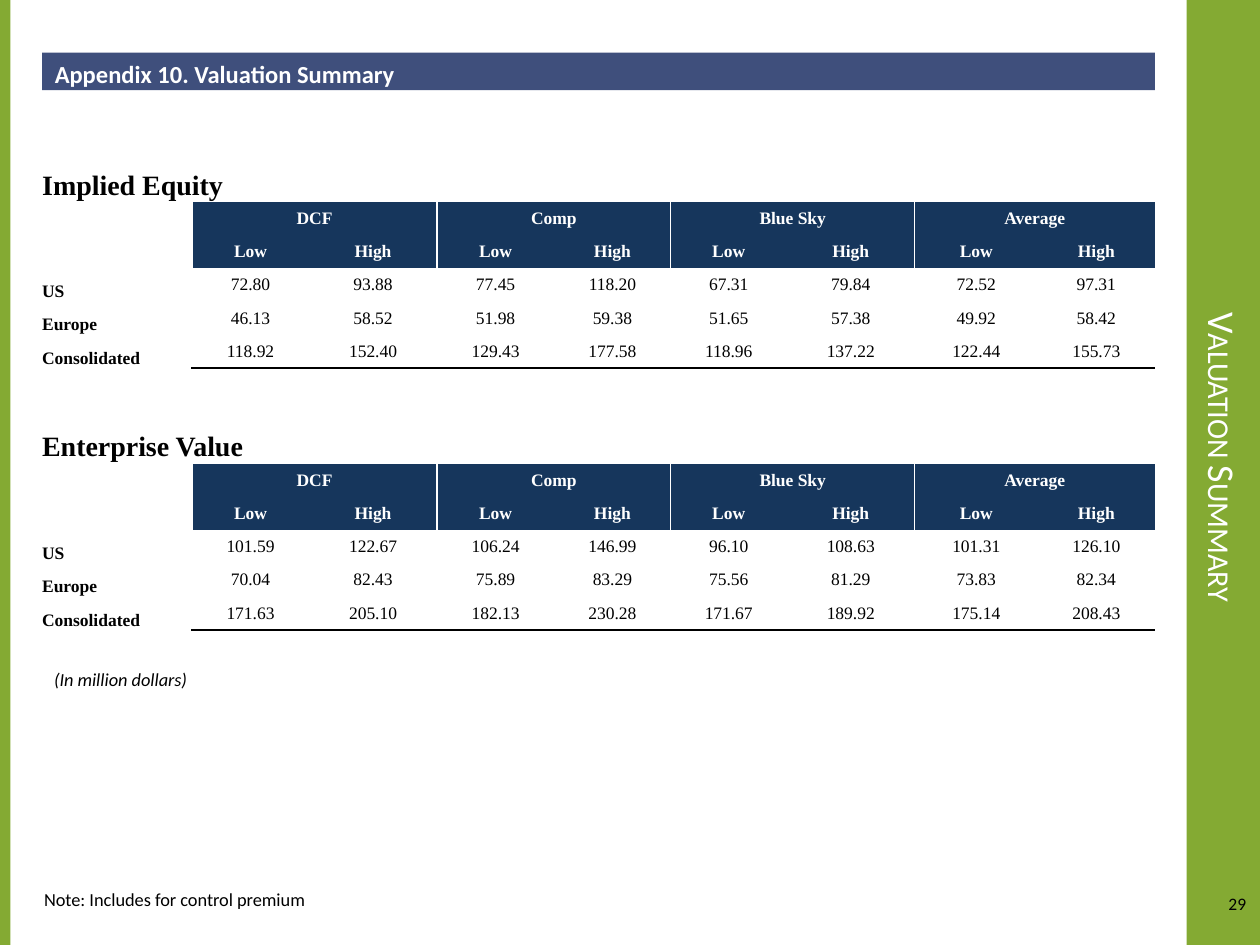
from lxml import etree
from pptx import Presentation
from pptx.dml.color import RGBColor
from pptx.enum.shapes import MSO_SHAPE
from pptx.enum.text import MSO_ANCHOR, MSO_AUTO_SIZE, PP_ALIGN
from pptx.oxml.ns import qn
from pptx.util import Cm, Pt

RECTANGLE = MSO_SHAPE.RECTANGLE
MIDDLE, BOTTOM, TOP = MSO_ANCHOR.MIDDLE, MSO_ANCHOR.BOTTOM, MSO_ANCHOR.TOP
LEFT, CENTER, RIGHT = PP_ALIGN.LEFT, PP_ALIGN.CENTER, PP_ALIGN.RIGHT
FIXED, FIT_TEXT = MSO_AUTO_SIZE.NONE, MSO_AUTO_SIZE.SHAPE_TO_FIT_TEXT

GREEN = RGBColor(0x84, 0xAA, 0x33)
SLATE = RGBColor(0x3F, 0x4F, 0x7C)
NAVY = RGBColor(0x16, 0x36, 0x5C)
WHITE = RGBColor(0xFF, 0xFF, 0xFF)
BLACK = RGBColor(0, 0, 0)

SANS = {"name": "Calibri", "size": Pt(10.5), "bold": False, "color": BLACK}
SERIF = {**SANS, "name": "Times New Roman", "size": Pt(10)}
SECTION = {**SERIF, "size": Pt(16), "bold": True}
HEADER = {**SERIF, "bold": True, "color": WHITE}
LABEL = {**SERIF, "bold": True}

NO_STYLE = "{2D5ABB26-0587-4C30-8999-92F81FD0307C}"
COLUMN_WIDTHS = (3.02, 2.36, 2.58, 2.36, 2.35, 2.34, 2.58, 2.48, 2.36)
ROW_HEIGHT, GAP_HEIGHT = 0.67, 1.25
SECTION_ROWS = 7
METHODS = ("DCF", "Comp", "Blue Sky", "Average")
VALUATIONS = {
    "Implied Equity": {
        "US": "72.80 93.88 77.45 118.20 67.31 79.84 72.52 97.31",
        "Europe": "46.13 58.52 51.98 59.38 51.65 57.38 49.92 58.42",
        "Consolidated": "118.92 152.40 129.43 177.58 118.96 137.22 122.44 155.73",
    },
    "Enterprise Value": {
        "US": "101.59 122.67 106.24 146.99 96.10 108.63 101.31 126.10",
        "Europe": "70.04 82.43 75.89 83.29 75.56 81.29 73.83 82.34",
        "Consolidated": "171.63 205.10 182.13 230.28 171.67 189.92 175.14 208.43",
    },
}


def set_attributes(target, values):
    for attribute, value in values.items():
        setattr(target, attribute, value)


def write(frame, text, style, align):
    paragraph = frame.paragraphs[0]
    paragraph.alignment = align
    run = paragraph.add_run()
    run.text = text
    set_attributes(run.font, {k: v for k, v in style.items() if k != "color"})
    run.font.color.rgb = style["color"]
    return run


def place(shape, left, top, width, height):
    set_attributes(shape, {"left": Cm(left), "top": Cm(top),
                           "width": Cm(width), "height": Cm(height)})


def add_side_bar(slide, left, width):
    bar = slide.shapes.add_shape(RECTANGLE, Cm(left), 0, Cm(width), Cm(19.05))
    bar.shadow.inherit = False
    bar.fill.solid()
    bar.fill.fore_color.rgb = GREEN
    bar.line.fill.background()
    slide.shapes._spTree.insert(2, bar._element)


def add_title(slide, text):
    title = slide.shapes.title
    length, thickness = 16.3, 1.47
    center_x, center_y = 24.66, 9.22
    place(title, center_x - length / 2, center_y - thickness / 2, length, thickness)
    title.rotation = 90
    set_attributes(title.text_frame, {"auto_size": FIXED, "vertical_anchor": MIDDLE})
    run = write(title.text_frame, text, {**SANS, "size": Pt(21.6), "color": WHITE}, CENTER)
    run.font._element.set("cap", "small")


def add_heading(slide, text):
    heading = slide.placeholders[1]
    place(heading, 0.85, 1.06, 22.43, 0.76)
    heading.fill.solid()
    heading.fill.fore_color.rgb = SLATE
    set_attributes(heading.text_frame, {"auto_size": FIXED, "vertical_anchor": TOP})
    write(heading.text_frame, text,
          {**SANS, "size": Pt(14), "bold": True, "color": WHITE}, LEFT)
    properties = heading.text_frame.paragraphs[0]._p.get_or_add_pPr()
    properties.set("marL", "0")
    properties.set("indent", "0")
    etree.SubElement(properties, qn("a:buNone"))


def add_caption(slide, text, box, style, align=LEFT, **frame_format):
    caption = slide.shapes.add_textbox(*map(Cm, box))
    set_attributes(caption.text_frame, frame_format)
    write(caption.text_frame, text, style, align)


def add_border(cell, side, color):
    line = etree.SubElement(cell._tc.get_or_add_tcPr(), qn(f"a:ln{side}"), w="12700")
    if color is None:
        etree.SubElement(line, qn("a:noFill"))
    else:
        fill = etree.SubElement(line, qn("a:solidFill"))
        etree.SubElement(fill, qn("a:srgbClr"), val=str(color))


def format_cell(cell, row, column):
    set_attributes(cell, {f"margin_{side}": 0 for side in ("left", "right", "top", "bottom")})
    cell.vertical_anchor = MIDDLE
    section_row = row % SECTION_ROWS
    is_value = column > 0
    is_high = is_value and column % 2 == 0
    divided = is_value and section_row in range(1, 6)
    borders = {
        "L": WHITE if divided and not is_high else None,
        "R": WHITE if divided and is_high and column < len(COLUMN_WIDTHS) - 1 else None,
        "T": BLACK if is_value and section_row == 6 else None,
        "B": BLACK if is_value and section_row == 5 else None,
    }
    for side, color in borders.items():
        add_border(cell, side, color)
    if is_value and section_row in (1, 2):
        cell.fill.solid()
        cell.fill.fore_color.rgb = NAVY
    else:
        cell.fill.background()


def fill_cell(cell, text, style, align=CENTER, anchor=MIDDLE):
    cell.vertical_anchor = anchor
    write(cell.text_frame, text, style, align)


def fill_section(table, first_row, name, regions):
    table.cell(first_row, 0).merge(table.cell(first_row, 1))
    fill_cell(table.cell(first_row, 0), name, SECTION, LEFT, MIDDLE if first_row else BOTTOM)
    for index, method in enumerate(METHODS):
        low = 2 * index + 1
        table.cell(first_row + 1, low).merge(table.cell(first_row + 1, low + 1))
        fill_cell(table.cell(first_row + 1, low), method, HEADER)
        for offset, bound in enumerate(("Low", "High")):
            fill_cell(table.cell(first_row + 2, low + offset), bound, HEADER)
    for row, (region, values) in enumerate(regions.items(), first_row + 3):
        fill_cell(table.cell(row, 0), region, LABEL, LEFT, BOTTOM)
        for column, value in enumerate(values.split(), 1):
            fill_cell(table.cell(row, column), value, SERIF)


def add_valuation_table(slide):
    row_count = SECTION_ROWS * len(VALUATIONS) - 1
    heights = [GAP_HEIGHT if row % SECTION_ROWS == 6 else ROW_HEIGHT
               for row in range(row_count)]
    table = slide.shapes.add_table(row_count, len(COLUMN_WIDTHS), Cm(0.85), Cm(3.39),
                                   Cm(sum(COLUMN_WIDTHS)), Cm(sum(heights))).table
    set_attributes(table, {"first_row": False, "horz_banding": False})
    table._tbl.tblPr.find(qn("a:tableStyleId")).text = NO_STYLE
    for column, width in zip(table.columns, COLUMN_WIDTHS):
        column.width = Cm(width)
    for row, height in enumerate(heights):
        table.rows[row].height = Cm(height)
        for column in range(len(COLUMN_WIDTHS)):
            format_cell(table.cell(row, column), row, column)
    for index, (name, regions) in enumerate(VALUATIONS.items()):
        fill_section(table, index * SECTION_ROWS, name, regions)
    for cell in table.iter_cells():
        if not cell.text_frame.text:
            etree.SubElement(cell.text_frame.paragraphs[0]._p, qn("a:endParaRPr"), sz="1000")


def main():
    deck = Presentation()
    set_attributes(deck, {"slide_width": Cm(25.4), "slide_height": Cm(19.05)})
    slide = deck.slides.add_slide(deck.slide_layouts[1])
    add_side_bar(slide, 0, 0.21)
    add_side_bar(slide, 23.92, 1.48)
    add_title(slide, "Valuation Summary")
    add_heading(slide, "Appendix 10. Valuation Summary")
    add_caption(slide, "Note: Includes for control premium", (0.64, 17.78, 5.87, 0.71),
                SANS, word_wrap=False, auto_size=FIT_TEXT)
    add_caption(slide, "29", (24.23, 17.78, 1.14, 0.86), {**SANS, "size": Pt(10)}, RIGHT,
                word_wrap=True, vertical_anchor=MIDDLE)
    add_valuation_table(slide)
    add_caption(slide, "(In million dollars)", (0.84, 13.34, 3.23, 0.71),
                {**SANS, "italic": True}, word_wrap=False, auto_size=FIT_TEXT)
    deck.save("out.pptx")


main()
